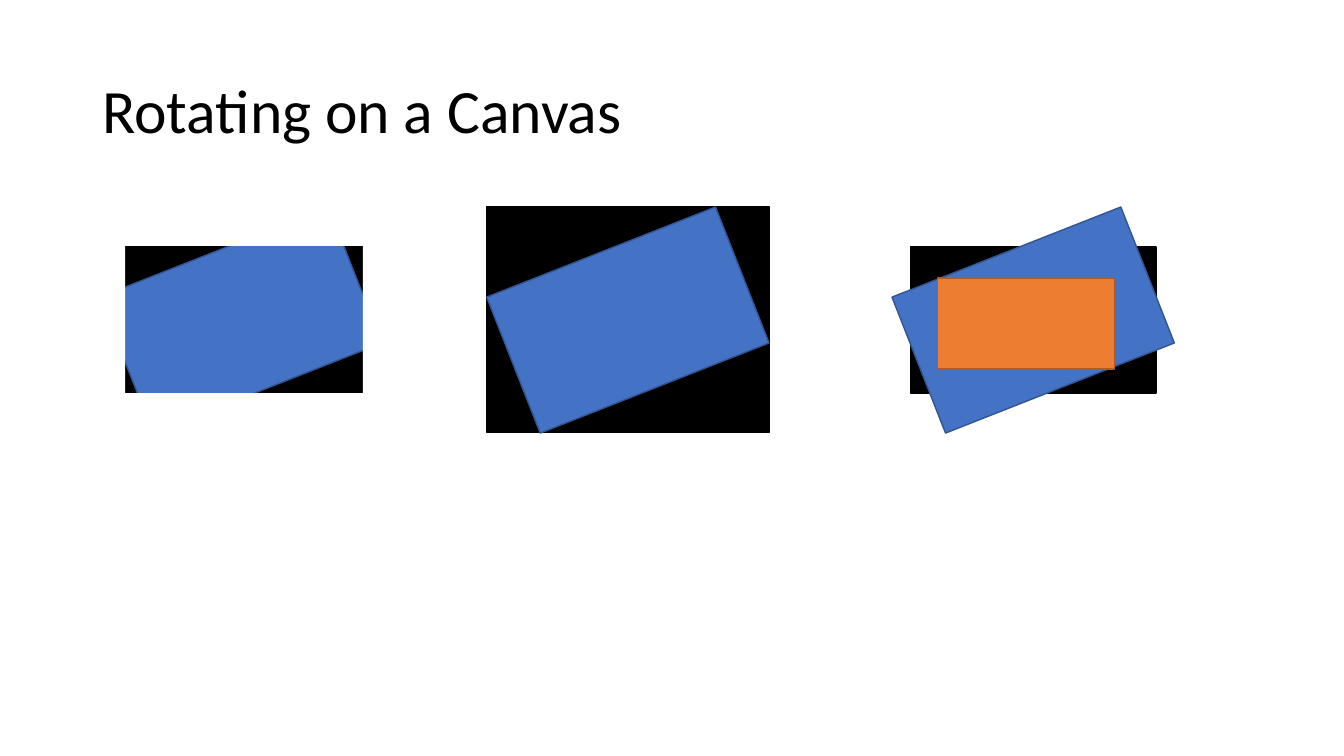
from pptx import Presentation
from pptx.dml.color import RGBColor
from pptx.enum.shapes import MSO_SHAPE as Kind
from pptx.enum.text import MSO_ANCHOR as Anchor
from pptx.util import Pt

BLACK = RGBColor(0x00, 0x00, 0x00)
WHITE = RGBColor(0xFF, 0xFF, 0xFF)
BLUE = RGBColor(0x44, 0x72, 0xC4)
NAVY = RGBColor(0x32, 0x54, 0x91)
ORANGE = RGBColor(0xED, 0x7D, 0x31)
RUST = RGBColor(0xAF, 0x5C, 0x24)

TITLE = "Rotating on a Canvas"
TILT = 338.5
SIZE = (175.7, 104.4)  # canvas and image
TOP = 176.4
CLIP_X, GROW_X, CROP_X = 84.2, 360.7, 650.2  # image left in each case
GROWN = (347.8, 147.6, 201.6, 161.3)
CROP = (669.6, 198.7, 126.7, 64.8)
MASK = (188.6, 36)
MASKS = [  # left, top, rotation of the strips that clip the first image
    (84.2, 139.7, 0),
    (77.8, 280.8, 0),
    (-23, 229.7, 90),
    (182.9, 216, 90),
]


def add_rect(slide, box, fill, line=None, turn=0):
    rect = slide.shapes.add_shape(Kind.RECTANGLE, *map(Pt, box))
    rect.shadow.inherit = False
    rect.rotation = turn
    rect.fill.solid()
    rect.fill.fore_color.rgb = fill
    if line is None:
        rect.line.fill.background()
    else:
        rect.line.color.rgb = line
        rect.line.width = Pt(1)


def add_title(slide):
    box = slide.shapes.add_textbox(Pt(66), Pt(28.8), Pt(828), Pt(104.4))
    frame = box.text_frame
    frame.word_wrap = True
    frame.vertical_anchor = Anchor.MIDDLE
    para = frame.paragraphs[0]
    para.text = TITLE
    para.line_spacing = 0.9
    para.font.name = "Calibri"
    para.font.size = Pt(44)
    para.font.color.rgb = BLACK


def main():
    deck = Presentation()
    deck.slide_width, deck.slide_height = Pt(960), Pt(540)
    slide = deck.slides.add_slide(deck.slide_layouts[6])
    add_title(slide)

    canvases = [(CLIP_X, TOP, *SIZE), GROWN, (CROP_X, TOP, *SIZE)]
    for canvas, left in zip(canvases, (CLIP_X, GROW_X, CROP_X)):
        add_rect(slide, canvas, BLACK, BLACK)
        add_rect(slide, (left, TOP, *SIZE), BLUE, NAVY, TILT)

    for left, top, turn in MASKS:
        add_rect(slide, (left, top, *MASK), WHITE, turn=turn)
    add_rect(slide, CROP, ORANGE, RUST)

    deck.save("out.pptx")


if __name__ == "__main__":
    main()
